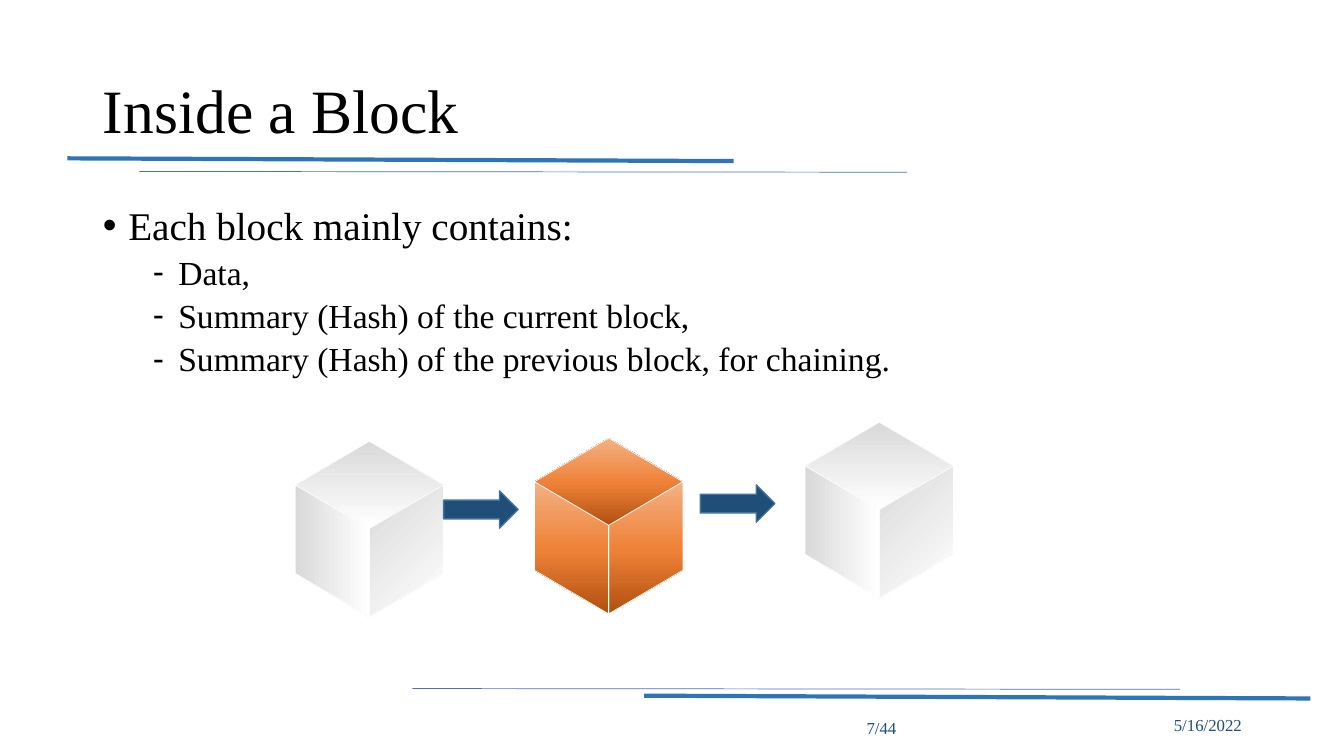
"""Build the "Inside a Block" slide with three chained cubes."""
from copy import deepcopy

from lxml import etree
from pptx import Presentation
from pptx import util as u
from pptx.dml.color import RGBColor
from pptx.enum import shapes, text
from pptx.oxml import ns

COLORS = {
    "black": "000000", "white": "FFFFFF", "navy": "1F4E79", "arrow_line": "43739E",
    "thin_rule": "4472C4", "thick_rule": "2E75B6", "gray": "D9D9D9",
    "dark_orange": "B0500F", "orange": "EE8137", "light_orange": "F4B183",
}
FONT = "Times New Roman"


def rgb(name):
    return RGBColor.from_string(COLORS[name])


def write(p, words, size, color="black", align=text.PP_ALIGN.LEFT, spacing=1.0,
          before=0, bullet=None, margin=0, hanging=0):
    if bullet:
        pPr = p._p.get_or_add_pPr()
        pPr.set("marL", str(u.Cm(margin)))
        pPr.set("indent", str(-u.Cm(hanging)))
        etree.SubElement(pPr, ns.qn("a:buChar")).set("char", bullet)
    p.alignment = align
    p.line_spacing = spacing
    p.space_before = u.Pt(before)
    r = p.add_run()
    r.text = words
    r.font.name = FONT
    r.font.size = u.Pt(size)
    r.font.color.rgb = rgb(color)


prs = Presentation()
prs.slide_width, prs.slide_height = u.Cm(33.87), u.Cm(19.05)
s = prs.slides.add_slide(prs.slide_layouts[1])

rules = [
    (10.39, 17.35, 29.74, 17.37, "thin_rule", 0.5),
    (16.23, 17.53, 33.02, 17.6, "thick_rule", 3),
    (1.7, 3.99, 18.49, 4.06, "thick_rule", 3),
    (3.51, 4.32, 22.86, 4.34, "thin_rule", 0.5),
]
for x1, y1, x2, y2, color, width in rules:
    rule = s.shapes.add_connector(
        shapes.MSO_CONNECTOR.STRAIGHT, u.Cm(x1), u.Cm(y1), u.Cm(x2), u.Cm(y2))
    rule.line.color.rgb = rgb(color)
    rule.line.width = u.Pt(width)
    etree.SubElement(rule.element.spPr, ns.qn("a:effectLst"))

title, body = s.placeholders
for sp, top, height, anchor in [(title, 1.02, 3.68, text.MSO_ANCHOR.MIDDLE),
                                (body, 5.08, 12.09, text.MSO_ANCHOR.TOP)]:
    sp.left, sp.top, sp.width, sp.height = u.Cm(2.34), u.Cm(top), u.Cm(29.21), u.Cm(height)
    sp.text_frame.vertical_anchor = anchor
    sp.text_frame.auto_size = text.MSO_AUTO_SIZE.NONE
write(title.text_frame.paragraphs[0], "Inside a Block", 44, spacing=0.9)

tf = body.text_frame
write(tf.paragraphs[0], "Each block mainly contains:", 28, spacing=0.9,
      bullet="•", margin=0.64, hanging=0.64)
for item in ["Data,", "Summary (Hash) of the current block,",
             "Summary (Hash) of the previous block, for chaining."]:
    p = tf.add_paragraph()
    p.level = 1
    write(p, item, 24, spacing=0.9, before=5, bullet="-", margin=1.9, hanging=0.64)

for words, x, y, w, h in [("5/16/2022", 27.97, 17.75, 3.58, 1.02),
                          ("7/44", 20.78, 17.68, 2.06, 1.3)]:
    tf = s.shapes.add_textbox(u.Cm(x), u.Cm(y), u.Cm(w), u.Cm(h)).text_frame
    tf.word_wrap = True
    tf.vertical_anchor = text.MSO_ANCHOR.MIDDLE
    write(tf.paragraphs[0], words, 12, "navy", text.PP_ALIGN.RIGHT)

HALF, RISE, SIDE = 1.87, 1.1, 2.23
FACES = [
    [(0, 2 * RISE), (-HALF, RISE), (0, 0), (HALF, RISE)],
    [(0, 2 * RISE + SIDE), (0, 2 * RISE), (HALF, RISE), (HALF, RISE + SIDE)],
    [(0, 2 * RISE + SIDE), (0, 2 * RISE), (-HALF, RISE), (-HALF, RISE + SIDE)],
]
GRAY = [(0, "gray"), (1, "white")]
ORANGE = [(0, "dark_orange"), (0.48, "orange"), (1, "light_orange")]
cubes = [
    (9.31, 11.12, GRAY, (270, 315, 0)),
    (15.34, 11.04, ORANGE, (90, 90, 90)),
    (22.16, 10.64, GRAY, (270, 315, 0)),
]
for x, y, stops, angles in cubes:
    cube = s.shapes.add_group_shape()
    for face, angle in zip(FACES, angles):
        points = [(u.Cm(x + dx), u.Cm(y + dy)) for dx, dy in face]
        builder = cube.shapes.build_freeform(*points[0])
        builder.add_line_segments(points[1:], close=True)
        sp = builder.convert_to_shape()
        sp.shadow.inherit = False
        sp.fill.gradient()
        sp.fill.gradient_angle = angle
        gradient = sp.element.xpath(".//a:gsLst")[0]
        for _ in stops[2:]:
            gradient.append(deepcopy(gradient[-1]))
        for stop, (position, color) in zip(sp.fill.gradient_stops, stops):
            stop.position = position
            stop.color.rgb = rgb(color)
        sp.line.color.rgb = rgb("white")
        sp.line.width = u.Pt(0.5)

for x, y in [(11.18, 12.37), (17.65, 12.22)]:
    arrow = s.shapes.add_shape(
        shapes.MSO_SHAPE.RIGHT_ARROW, u.Cm(x), u.Cm(y), u.Cm(1.88), u.Cm(0.94))
    arrow.shadow.inherit = False
    arrow.fill.solid()
    arrow.fill.fore_color.rgb = rgb("navy")
    arrow.line.color.rgb = rgb("arrow_line")
    arrow.line.width = u.Pt(1)

prs.save("out.pptx")
